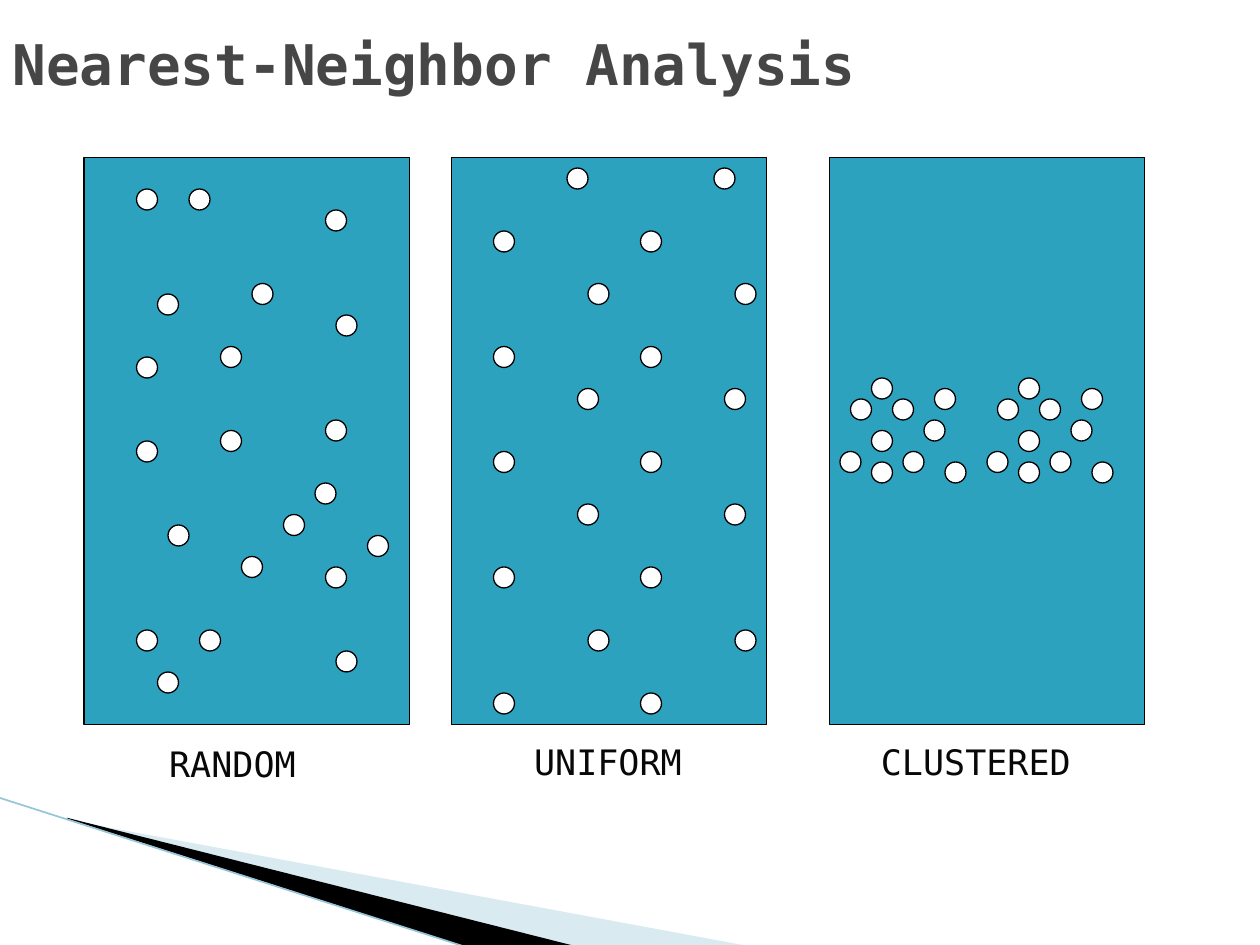
import pptx
import pptx.dml.color
import pptx.enum.shapes
import pptx.enum.text
import pptx.oxml
import pptx.oxml.ns
import pptx.util
from pptx.util import Inches

COLORS = {
    "panel": "2DA2BF", "dot": "FFFFFF", "outline": "000000",
    "title": "464646", "label": "080808",
    "pale_wedge": "A0CBDC", "dark_wedge": "000000", "edge": "97C5D8",
}
FONT = "DejaVu Sans Mono"

# Panels and dots sit on a grid of twelfths of an inch
GRID = Inches(1) // 12
PANEL_TOP, PANEL_HEIGHT, DOT_SIZE = 15, 54, 2
PAIR_SHIFT = 14  # the uniform and clustered patterns appear twice, side by side

RANDOM_DOTS = [
    (13, 18), (23, 53), (18, 18), (15, 28), (32, 30), (13, 34), (21, 33),
    (24, 27), (21, 41), (13, 42), (16, 50), (13, 60), (15, 64), (19, 60),
    (31, 20), (31, 40), (30, 46), (31, 54), (27, 49), (32, 62), (35, 51),
]
UNIFORM_DOTS = [
    (47, 22), (54, 16), (56, 27), (47, 33), (47, 43),
    (55, 37), (47, 54), (55, 48), (56, 60), (47, 66),
]
CLUSTERED_DOTS = [
    (81, 38), (83, 41), (85, 38), (80, 43), (88, 40),
    (83, 44), (86, 43), (89, 37), (90, 44), (83, 36),
]


def rgb(name):
    return pptx.dml.color.RGBColor.from_string(COLORS[name])


def twice(dots):
    return dots + [(x + PAIR_SHIFT, y) for x, y in dots]


def add_grid_shape(slide, kind, box, fill):
    left, top, width, height = (n * GRID for n in box)
    shape = slide.shapes.add_shape(kind, left, top, width, height)
    shape.shadow.inherit = False
    shape.fill.solid()
    shape.fill.fore_color.rgb = rgb(fill)
    shape.line.color.rgb = rgb("outline")
    shape.line.width = pptx.util.Pt(0.75)


def add_wedge(slide, points, fill, opacity=None):
    corners = [(Inches(x), Inches(y)) for x, y in points]
    builder = slide.shapes.build_freeform(*corners[0])
    builder.add_line_segments(corners[1:], close=True)
    wedge = builder.convert_to_shape()
    wedge.shadow.inherit = False
    wedge.fill.solid()
    wedge.fill.fore_color.rgb = rgb(fill)
    wedge.line.fill.background()
    if opacity is not None:
        color = wedge.fill._xPr.find(".//" + pptx.oxml.ns.qn("a:srgbClr"))
        alpha = pptx.oxml.parse_xml(
            f'<a:alpha {pptx.oxml.ns.nsdecls("a")} val="{opacity * 1000}"/>')
        color.append(alpha)


def add_edge(slide, start, end):
    edge = slide.shapes.add_connector(
        pptx.enum.shapes.MSO_CONNECTOR.STRAIGHT,
        *(Inches(n) for n in start + end))
    edge.line.color.rgb = rgb("edge")
    edge.line.width = pptx.util.Pt(0.95)
    edge._element.spPr.append(pptx.oxml.parse_xml(
        f'<a:effectLst {pptx.oxml.ns.nsdecls("a")}/>'))


def add_text(slide, text, box, size, color, bold=False):
    textbox = slide.shapes.add_textbox(*(Inches(n) for n in box))
    frame = textbox.text_frame
    frame.text = text
    font = frame.paragraphs[0].runs[0].font
    font.name, font.size, font.bold = FONT, pptx.util.Pt(size), bold
    font.color.rgb = rgb(color)
    return frame


def add_label(slide, text, box):
    frame = add_text(slide, text, box, 20, "label")
    frame.word_wrap = False
    frame.auto_size = pptx.enum.text.MSO_AUTO_SIZE.SHAPE_TO_FIT_TEXT
    frame.paragraphs[0].alignment = pptx.enum.text.PP_ALIGN.CENTER


def add_title(slide, text):
    frame = add_text(slide, text, (0, 0, 9.5, 1), 32, "title", bold=True)
    frame.word_wrap = True
    frame.vertical_anchor = pptx.enum.text.MSO_ANCHOR.MIDDLE


def main():
    presentation = pptx.Presentation()
    presentation.slide_width = Inches(10)
    presentation.slide_height = Inches(7.5)
    slide = presentation.slides.add_slide(presentation.slide_layouts[6])
    shapes = pptx.enum.shapes.MSO_SHAPE

    # Corner decoration
    add_wedge(slide, [(0.55, 6.51), (5.95, 7.51), (4.56, 7.51), (0.55, 6.5)],
              "pale_wedge", opacity=40)
    add_wedge(slide, [(0.53, 6.49), (4.57, 7.51), (3.72, 7.52), (0.54, 6.5)],
              "dark_wedge")
    add_edge(slide, (-0.01, 6.33), (3.71, 7.52))

    # Panels: left and width on the grid
    for left, width in [(8, 31), (43, 30), (79, 30)]:
        add_grid_shape(slide, shapes.RECTANGLE,
                       (left, PANEL_TOP, width, PANEL_HEIGHT), "panel")

    # Point patterns
    for x, y in RANDOM_DOTS + twice(UNIFORM_DOTS) + twice(CLUSTERED_DOTS):
        add_grid_shape(slide, shapes.OVAL, (x, y, DOT_SIZE, DOT_SIZE), "dot")

    # Captions and title
    add_label(slide, "RANDOM", (1.12, 5.84, 1.45, 0.44))
    add_label(slide, "UNIFORM", (4.07, 5.83, 1.51, 0.44))
    add_label(slide, "CLUSTERED", (6.79, 5.83, 1.91, 0.44))
    add_title(slide, "Nearest-Neighbor Analysis")

    presentation.save("out.pptx")


if __name__ == "__main__":
    main()
